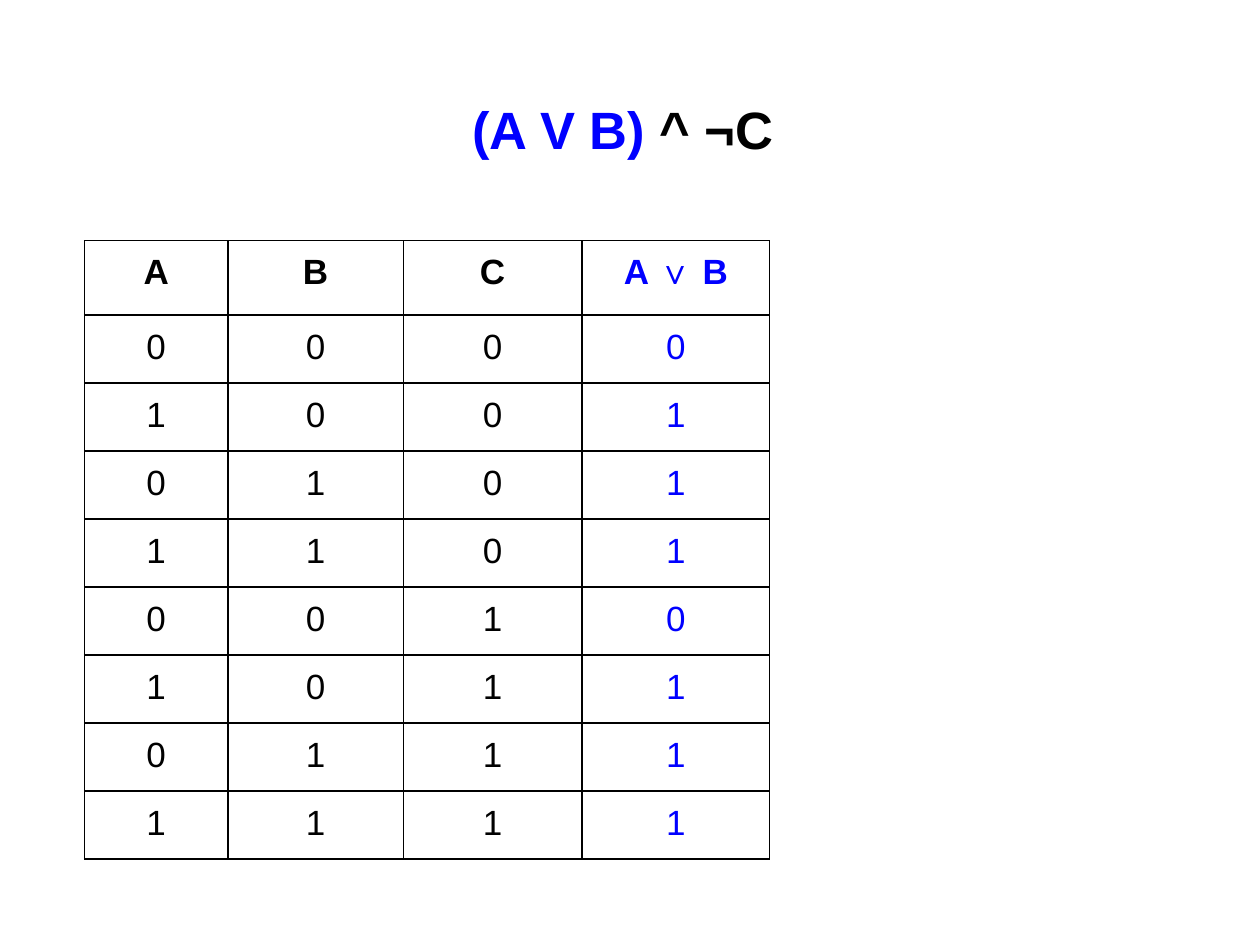
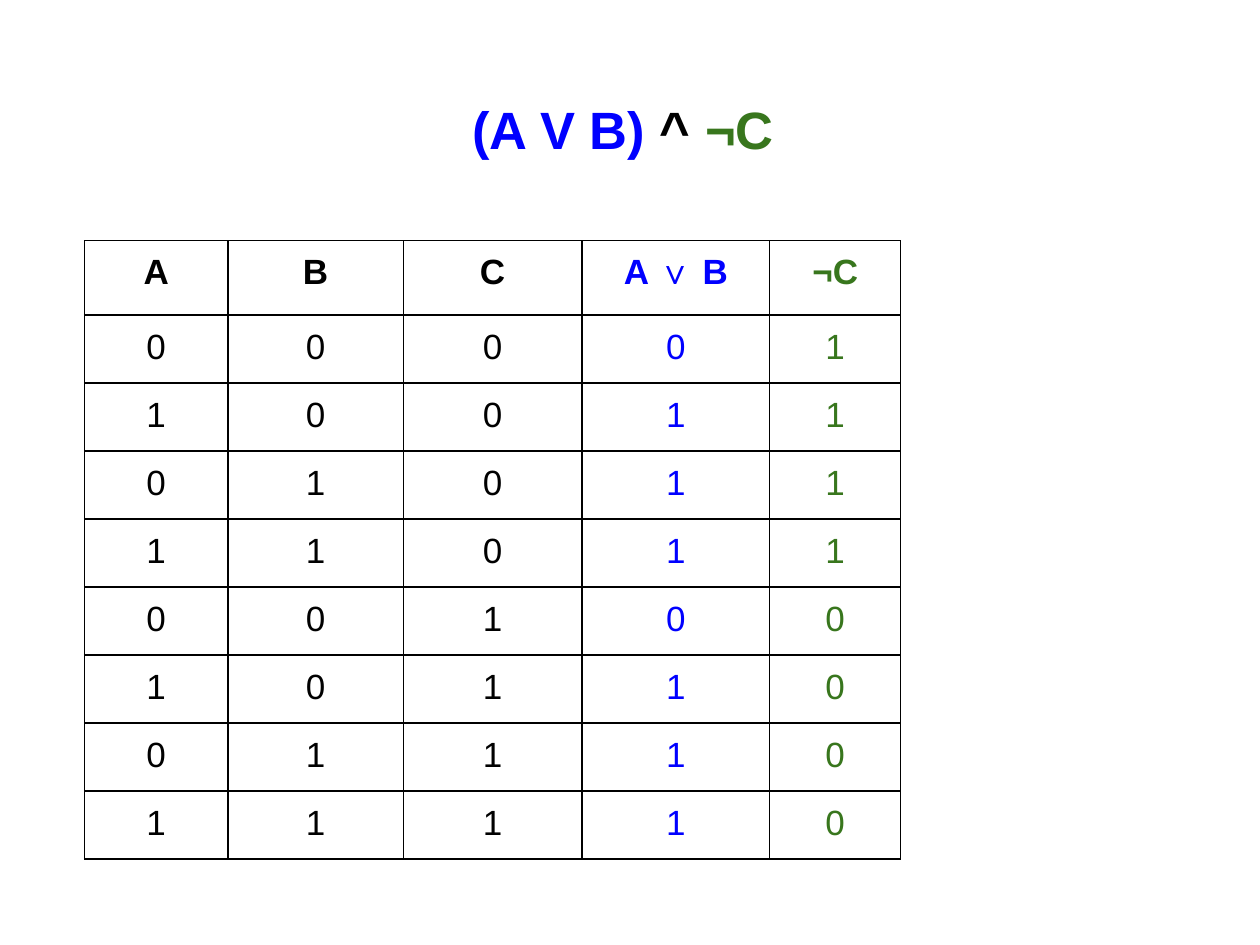
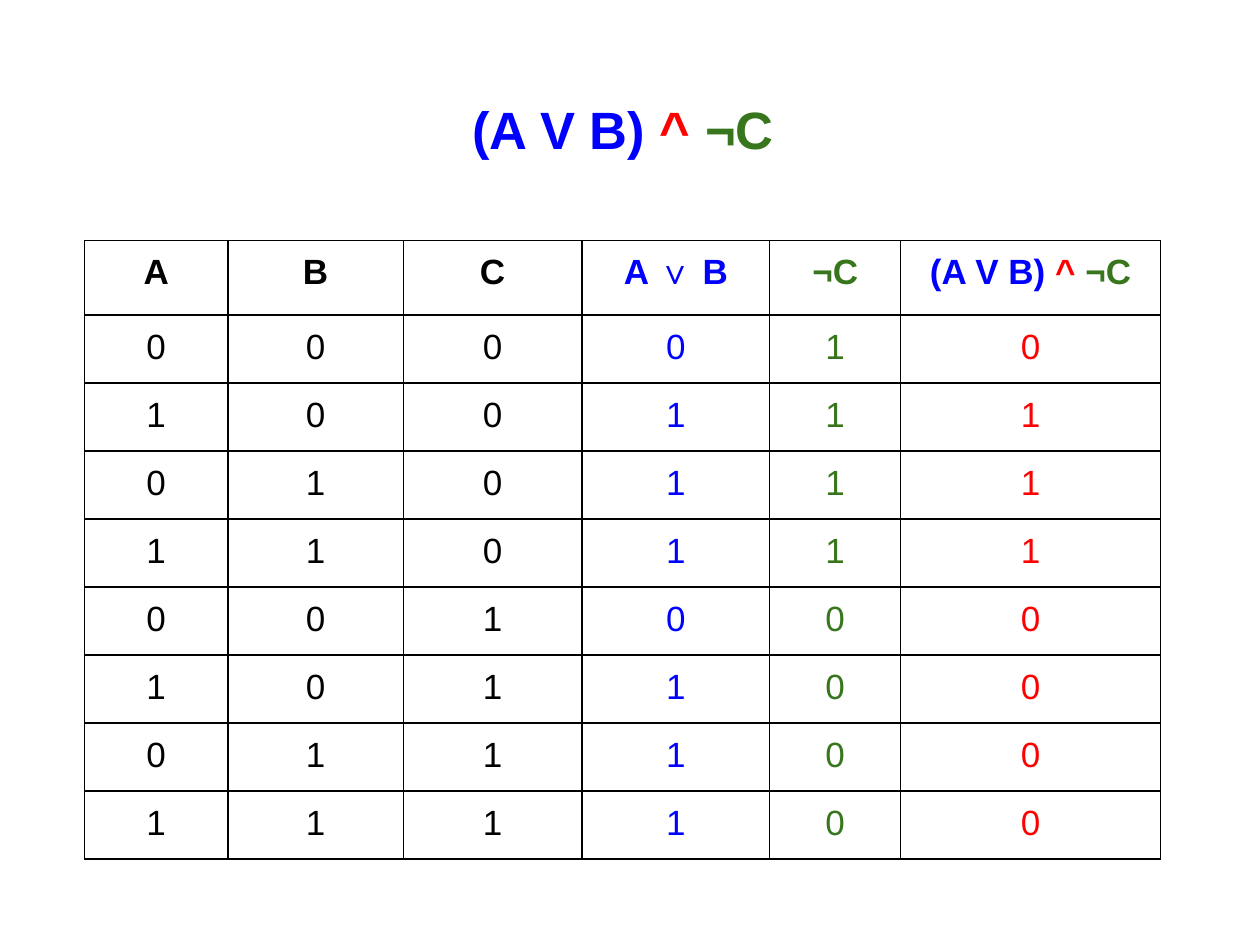
import itertools
import pptx
import pptx.util
import pptx.dml.color
import pptx.enum.text
import pptx.oxml.ns
import lxml.etree

Inches = pptx.util.Inches
Pt = pptx.util.Pt
RGBColor = pptx.dml.color.RGBColor

BLACK = RGBColor(0x00, 0x00, 0x00)
BLUE = RGBColor(0x00, 0x00, 0xFF)
GREEN = RGBColor(0x38, 0x76, 0x1D)
RED = RGBColor(0xFF, 0x00, 0x00)
FONT = "Arial"
PAD = Inches(0.1)
LEFT, TOP = 0.67, 1.91
HEAD, ROW = 0.59, 0.54
CENTER = pptx.enum.text.PP_ALIGN.CENTER
MIDDLE = pptx.enum.text.MSO_ANCHOR.MIDDLE

FINAL = [("(A V B)", BLUE), (" ^ ", RED), ("¬C", GREEN)]
COLUMNS = [
    ([("A", BLACK)], 1.14, BLACK, lambda a, b, c: a),
    ([("B", BLACK)], 1.39, BLACK, lambda a, b, c: b),
    ([("C", BLACK)], 1.42, BLACK, lambda a, b, c: c),
    ([("A ", BLUE), ("∨", BLUE), (" B", BLUE)], 1.49, BLUE, lambda a, b, c: a | b),
    ([("¬C", GREEN)], 1.04, GREEN, lambda a, b, c: 1 - c),
    (FINAL, 2.06, RED, lambda a, b, c: (a | b) & (1 - c)),
]
SLIDES = [
    ([("(A V B)", BLUE), (" ^ ¬C", BLACK)], 4),
    ([("(A V B)", BLUE), (" ^ ", BLACK), ("¬C", GREEN)], 5),
    (FINAL, 6),
]
CASES = [(a, b, c) for c, b, a in itertools.product((0, 1), repeat=3)]


def write(frame, runs, size=20, bold=False, align=None):
    para = frame.paragraphs[0]
    para.alignment = align
    for text, color in runs:
        run = para.add_run()
        run.text = text
        run.font.name = FONT
        run.font.size = Pt(size)
        run.font.bold = bold
        run.font.color.rgb = color


def pad(item):
    item.margin_left = item.margin_right = PAD
    item.margin_top = item.margin_bottom = PAD


def border(cell):
    qn = pptx.oxml.ns.qn
    props = cell._tc.get_or_add_tcPr()
    for side in ("a:lnL", "a:lnR", "a:lnT", "a:lnB"):
        line = lxml.etree.SubElement(props, qn(side), w=str(Pt(0.75)))
        fill = lxml.etree.SubElement(line, qn("a:solidFill"))
        lxml.etree.SubElement(fill, qn("a:srgbClr"), val=str(BLACK))


def add_title(slide, runs):
    box = slide.shapes.add_textbox(Inches(3.65), Inches(0.23), Inches(2.7), Inches(1.58))
    frame = box.text_frame
    frame.word_wrap = True
    frame.vertical_anchor = MIDDLE
    pad(frame)
    write(frame, runs, size=30, bold=True)


def add_truth(slide, columns):
    heights = [HEAD] + [ROW] * len(CASES)
    width = sum(column[1] for column in columns)
    table = slide.shapes.add_table(
        len(heights), len(columns), Inches(LEFT), Inches(TOP),
        Inches(width), Inches(sum(heights))).table
    table.first_row = table.horz_banding = False
    for row, height in zip(table.rows, heights):
        row.height = Inches(height)
    for col, (head, width, color, rule) in enumerate(columns):
        table.columns[col].width = Inches(width)
        values = [[(str(rule(*case)), color)] for case in CASES]
        for row, runs in enumerate([head] + values):
            cell = table.cell(row, col)
            pad(cell)
            border(cell)
            cell.fill.background()
            write(cell.text_frame, runs, bold=row == 0, align=CENTER)


def main():
    deck = pptx.Presentation()
    deck.slide_width, deck.slide_height = Inches(10), Inches(7.5)
    for title, count in SLIDES:
        slide = deck.slides.add_slide(deck.slide_layouts[6])
        add_title(slide, title)
        add_truth(slide, COLUMNS[:count])
    deck.save("out.pptx")


if __name__ == "__main__":
    main()
